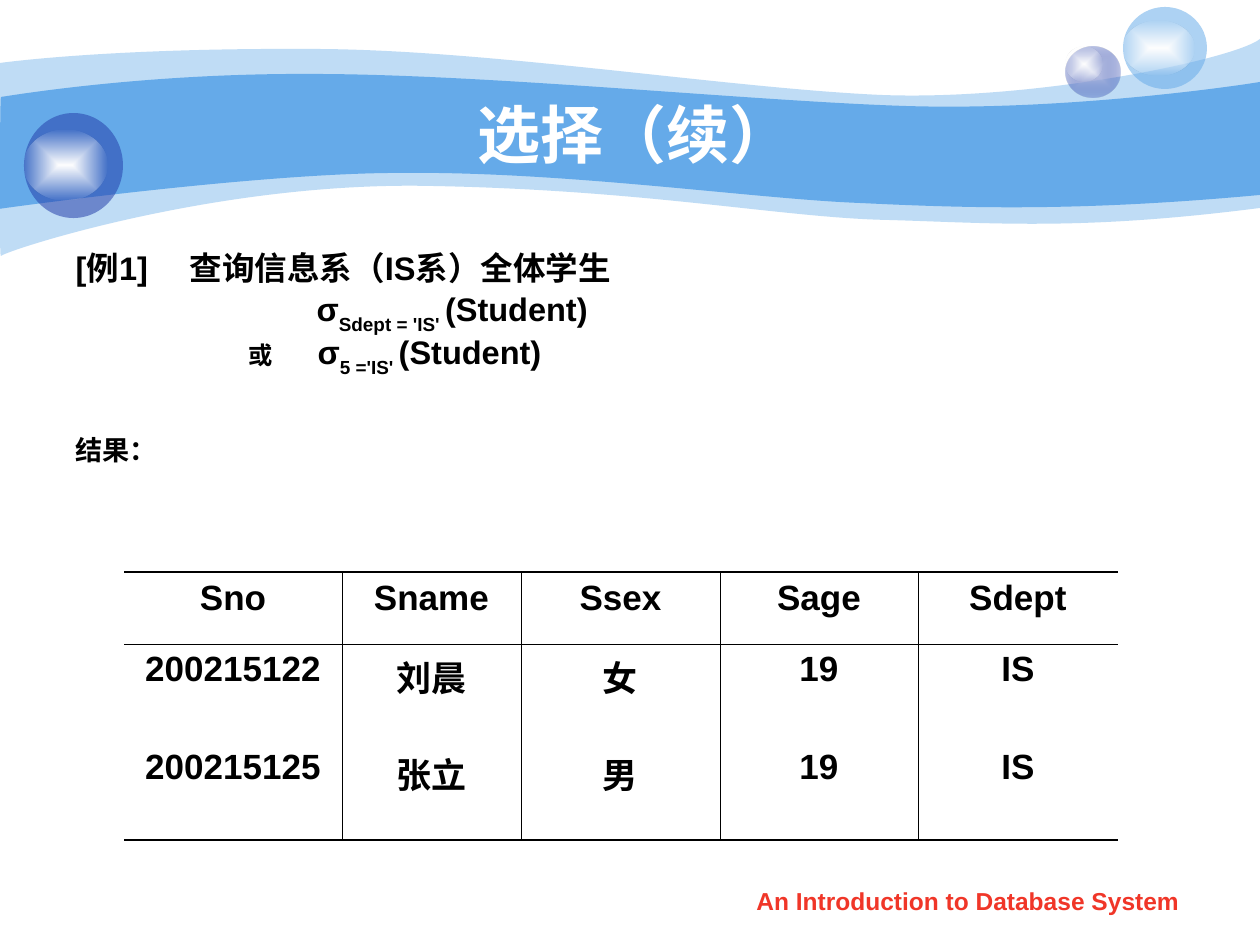
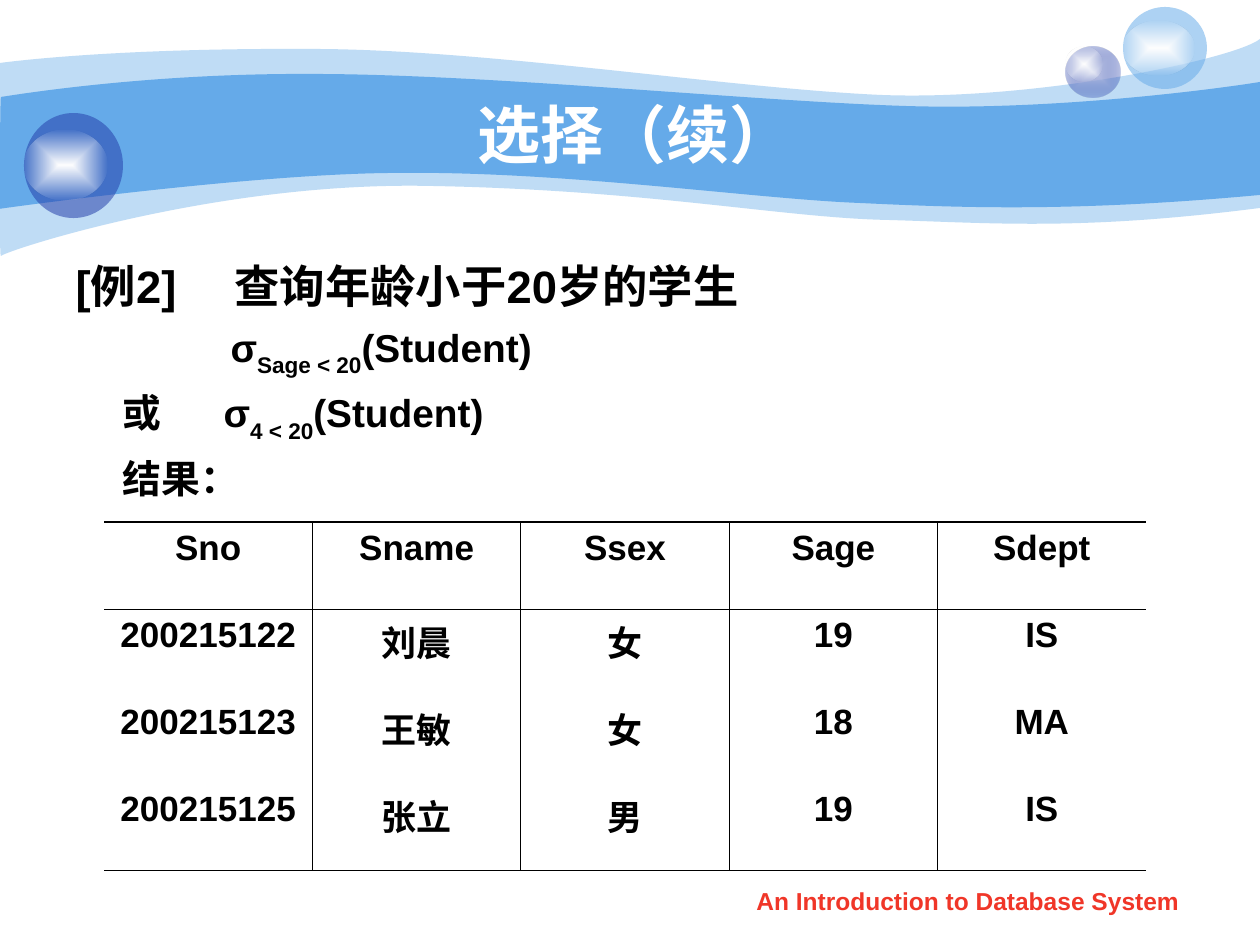
from pptx import Presentation
from pptx.dml.color import RGBColor
from pptx.enum.shapes import MSO_SHAPE as Shape
from pptx.enum.text import MSO_ANCHOR as Anchor, MSO_AUTO_SIZE as AutoSize, PP_ALIGN as Align
from pptx.oxml import parse_xml
from pptx.oxml.ns import nsdecls, qn
from pptx.util import Pt

SCALE = 914400 / 126
BLUE, NAVY, LAVENDER = "65AAE9", "233DA9", "C7CEE9"
WHITE, BLACK, RED = "FFFFFF", "000000", "F03628"
FONT = "Arial"
NO_STYLE = "{2D5ABB26-0587-4C30-8999-92F81FD0307C}"


def paint(shape, *stops):
    shape.shadow.inherit = False
    shape.line.fill.background()
    shape.fill.background()
    colours = [f'<a:srgbClr val="{colour}"><a:alpha val="{alpha * 1000}"/></a:srgbClr>'
               for colour, alpha in stops]
    if len(colours) == 1:
        fill = f'<a:solidFill {nsdecls("a")}>{colours[0]}</a:solidFill>'
    else:
        fill = (f'<a:gradFill {nsdecls("a")} rotWithShape="1"><a:gsLst>'
                f'<a:gs pos="0">{colours[0]}</a:gs><a:gs pos="100000">{colours[1]}</a:gs></a:gsLst>'
                '<a:path path="rect"><a:fillToRect l="50000" t="50000" r="50000" b="50000"/></a:path>'
                '</a:gradFill>')
    properties = shape.element.spPr
    properties.replace(properties.find(qn("a:noFill")), parse_xml(fill))


def write(para, text, size, colour=BLACK, subscript=False):
    span = para.add_run()
    span.text = text
    span.font.name = FONT
    span.font.size = Pt(size)
    span.font.bold = True
    span.font.color.rgb = RGBColor.from_string(colour)
    if subscript:
        span.font._element.set("baseline", "-30000")


deck = Presentation()
deck.slide_width, deck.slide_height = round(1260 * SCALE), round(945 * SCALE)
layout = deck.slide_layouts[1]
for holder in list(layout.placeholders):
    if holder.placeholder_format.idx >= 10:
        holder.element.getparent().remove(holder.element)

bands = [
    (41, (0, 63), [
        [(30, 59), (135, 48), (311, 49)],
        [(486, 49), (725, 88), (881, 95)],
        [(1036, 101), (1235, 59), (1260, 39)],
        [(1260, 208)],
        [(1081, 231), (992, 223), (888, 220)],
        [(784, 218), (649, 190), (432, 186)],
        [(217, 181), (5, 251), (1, 256)],
        [(-1, 262), (0, 94), (0, 63)]]),
    (100, (1, 97), [
        [(3, 97), (139, 73), (312, 74)],
        [(486, 74), (750, 101), (905, 106)],
        [(1060, 111), (1230, 87), (1260, 82)],
        [(1260, 195)],
        [(1075, 212), (964, 208), (859, 203)],
        [(755, 199), (563, 171), (399, 173)],
        [(256, 173), (-3, 209), (-1, 209)],
        [(0, 209), (0, 97), (1, 97)]]),
]
GLOW = [(WHITE, 100), (WHITE, 0)]
balls = [
    [((1066, 47, 54, 51), [(LAVENDER, 100), (NAVY, 31)]), ((1066, 47, 36, 35), GLOW)],
    [((1123, 7, 84, 82), [(BLUE, 53)]), ((1123, 21, 71, 54), GLOW)],
    [((24, 113, 99, 105), [(NAVY, 53)]), ((24, 130, 83, 70), GLOW)],
]

slides = [
    {
        "body": (63, 252, 1013, 231),
        "spacing": 0.7,
        "lines": [
            (0, 114, 6, [("[例1]\t查询信息系（IS系）全体学生", 18.6, False)]),
            (241, 241, 6, [("σ", 18.6, False), ("Sdept = 'IS' ", 18.6, True),
                           ("(Student)", 18.6, False)]),
            (173, 242, 6, [("或", 13.9, False), ("\tσ", 18.6, False),
                           ("5 ='IS' ", 18.6, True), ("(Student)", 18.6, False)]),
            (0, 0, 40.5, [("结果： ", 15.5, False)]),
        ],
        "corner": (124, 572),
        "columns": [218, 179, 199, 198, 200],
        "rows": [72, 98, 98],
        "bottom": 1.08,
        "students": [("200215122", "刘晨", "女", "19", "IS"),
                     ("200215125", "张立", "男", "19", "IS")],
    },
    {
        "body": (63, 252, 1133, 260),
        "spacing": None,
        "lines": [
            (0, 159, 7, [("[例2]\t查询年龄小于20岁的学生", 25.9, False)]),
            (155, 155, 6, [("σ", 22.2, False), ("Sage < 20", 22.2, True),
                           ("(Student) ", 22.2, False)]),
            (47, 148, 6, [("或\tσ", 22.2, False), ("4 < 20", 22.2, True),
                          ("(Student)", 22.2, False)]),
            (47, 47, 6, [("结果： ", 22.2, False)]),
        ],
        "corner": (104, 522),
        "columns": [1042 / 5] * 5,
        "rows": [349 / 4] * 4,
        "bottom": 0.45,
        "students": [("200215122", "刘晨", "女", "19", "IS"),
                     ("200215123", "王敏", "女", "18", "MA"),
                     ("200215125", "张立", "男", "19", "IS")],
    },
]
header = ("Sno", "Sname", "Ssex", "Sage", "Sdept")

for content in slides:
    page = deck.slides.add_slide(layout)

    title = page.shapes.title
    title.left, title.top, title.width, title.height = [round(v * SCALE) for v in (126, 94, 1018, 78)]
    title.text_frame.auto_size = AutoSize.NONE
    title.text_frame.vertical_anchor = Anchor.MIDDLE
    para = title.text_frame.paragraphs[0]
    para.alignment = Align.CENTER
    write(para, "选择（续）", 36, WHITE)

    body = page.placeholders[1]
    body.left, body.top, body.width, body.height = [round(v * SCALE) for v in content["body"]]
    frame = body.text_frame
    frame.auto_size = AutoSize.NONE
    for number, (first, rest, before, spans) in enumerate(content["lines"]):
        para = frame.add_paragraph() if number else frame.paragraphs[0]
        para.alignment = Align.JUSTIFY
        para.line_spacing = content["spacing"]
        para.space_before = Pt(before)
        properties = para._p.get_or_add_pPr()
        properties.set("marL", str(round(rest * SCALE)))
        properties.set("indent", str(round((first - rest) * SCALE)))
        properties.append(parse_xml(f'<a:buNone {nsdecls("a")}/>'))
        for text, size, subscript in spans:
            write(para, text, size, subscript=subscript)

    footer = page.shapes.add_textbox(*[round(v * SCALE) for v in (720, 880, 496, 44)])
    footer.text_frame.word_wrap = True
    para = footer.text_frame.paragraphs[0]
    para.alignment = Align.CENTER
    write(para, "An Introduction to Database System", 14, RED)

    records = [header] + content["students"]
    place = (*content["corner"], sum(content["columns"]), sum(content["rows"]))
    grid = page.shapes.add_table(len(records), len(header), *[round(v * SCALE) for v in place])
    table = grid.table
    table.first_row = table.horz_banding = False
    next(grid.element.iter(qn("a:tableStyleId"))).text = NO_STYLE
    for column, width in zip(table.columns, content["columns"]):
        column.width = round(width * SCALE)
    for row, height in zip(table.rows, content["rows"]):
        row.height = round(height * SCALE)
    last_row, last_column = len(records) - 1, len(header) - 1
    for r, record in enumerate(records):
        for c, value in enumerate(record):
            cell = table.cell(r, c)
            para = cell.text_frame.paragraphs[0]
            para.alignment = Align.CENTER
            para.space_before = Pt(5)
            write(para, value, 20)
            borders = {
                "lnL": 0.45 if c > 0 else 0,
                "lnR": 0.45 if c < last_column else 0,
                "lnT": {0: 1.08, 1: 0.45}.get(r, 0),
                "lnB": {0: 0.45, last_row: content["bottom"]}.get(r, 0),
            }
            for side, width in borders.items():
                stroke = (f'<a:solidFill><a:srgbClr val="{BLACK}"/></a:solidFill>'
                          if width else '<a:noFill/>')
                cell._tc.get_or_add_tcPr().append(parse_xml(
                    f'<a:{side} {nsdecls("a")} w="{Pt(width)}">{stroke}</a:{side}>'))
            cell.fill.background()

cover = deck.slides[0]
backdrop = []
for alpha, start, segments in bands:
    builder = cover.shapes.build_freeform(*start, scale=SCALE)
    builder.add_line_segments([point for segment in segments for point in segment], close=True)
    band = builder.convert_to_shape()
    lines = iter(list(band.element.iter(qn("a:lnTo"))))
    for segment in segments:
        steps = [next(lines) for point in segment]
        if len(steps) == 3:
            curve = parse_xml(f'<a:cubicBezTo {nsdecls("a")}/>')
            steps[0].addprevious(curve)
            for step in steps:
                curve.append(step[0])
                step.getparent().remove(step)
    paint(band, (BLUE, alpha))
    backdrop.append(band)
for layers in balls:
    ball = cover.shapes.add_group_shape()
    for place, stops in layers:
        disc = ball.shapes.add_shape(Shape.OVAL, *[round(v * SCALE) for v in place])
        paint(disc, *stops)
    backdrop.append(ball)
for shape in backdrop:
    layout.shapes.element.append(shape.element)

deck.save("out.pptx")
